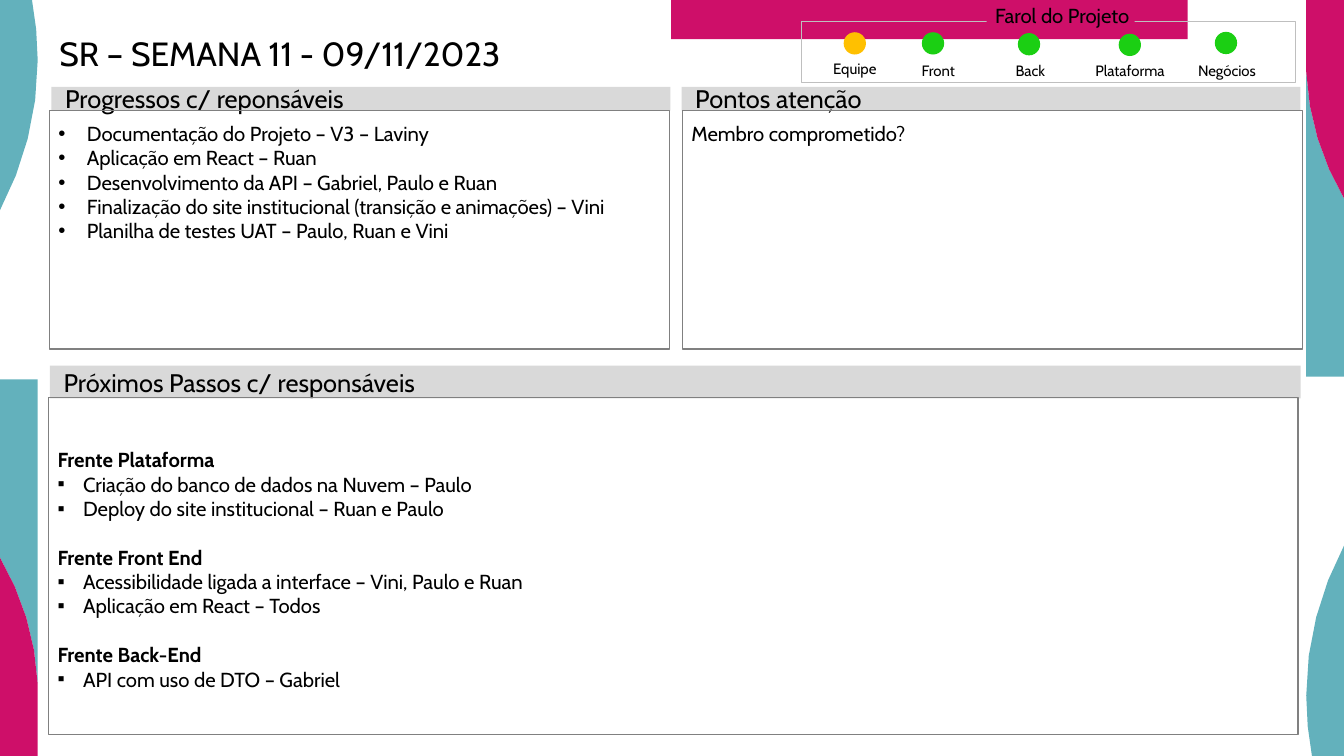
"""Builds the weekly project status slide with panels and status lights."""
from lxml import etree
from pptx import Presentation, util as u
from pptx.dml.color import RGBColor
from pptx.enum import shapes as s, text as t
from pptx.oxml.ns import qn

WIDTH, HEIGHT, EDGE = 1058.4, 595.44, 29.7
THEME = {
    "font": "Cabin", "bullet_font": "Arial",
    "ink": "000000", "teal": "63B1BC", "pink": "CE0F69", "bar": "D9D9D9",
    "border": "808080", "frame": "BFBFBF", "ok": "1BCF13", "warn": "FFC000",
    "title": 26.4, "header": 20, "body": 16, "label": 11.8,
}
TITLE = "SR – SEMANA 11 - 09/11/2023"
LIGHTS_TITLE = "Farol do Projeto"
LIGHTS = [
    ("Equipe", "warn", (664.9, 25.9), (637.92, 46.8)),
    ("Front", "ok", (726.5, 25.9), (703.6, 48.24)),
    ("Back", "ok", (802.1, 26.6), (776.16, 48.24)),
    ("Plataforma", "ok", (881.5, 27.1), (854.64, 48.24)),
    ("Negócios", "ok", (957.2, 25.6), (930.96, 48.24)),
]
PROGRESS = [("•", line) for line in (
    "Documentação do Projeto – V3 – Laviny",
    "Aplicação em React – Ruan",
    "Desenvolvimento da API – Gabriel, Paulo e Ruan",
    "Finalização do site institucional (transição e animações) – Vini",
    "Planilha de testes UAT – Paulo, Ruan e Vini",
)]
FRONTS = [
    ("Frente Plataforma", ["Criação do banco de dados na Nuvem – Paulo",
                           "Deploy do site institucional – Ruan e Paulo"]),
    ("Frente Front End", ["Acessibilidade ligada a interface – Vini, Paulo e Ruan",
                          "Aplicação em React – Todos"]),
    ("Frente Back-End", ["API com uso de DTO – Gabriel"]),
]
NEXT_STEPS = [item for heading, tasks in FRONTS
              for item in [("bold", heading)] + [("▪", task) for task in tasks]]
PANELS = [
    ("Progressos c/ reponsáveis", (40.5, 68.4, 487.44, 18.72),
     (38.9, 86.8, 488.16, 188.2), "TOP", PROGRESS),
    ("Pontos atenção", (536.7, 68.4, 487.44, 18.72),
     (537.4, 86.8, 488.16, 188.2), "TOP", [("", "Membro comprometido?")]),
    ("Próximos Passos c/ responsáveis", (39.3, 288, 984.96, 25.92),
     (38.2, 313.1, 984, 265.6), "MIDDLE", NEXT_STEPS),
]
INDENTS = {"•": 22.5, "▪": 20.16}
GROUP_GAP = 19.2
BAR_INSETS, PANEL_INSETS = (10.8, 5.04, 10.8, 5.04), (7.2, 8.64, 7.2, 3.6)
LABEL_INSETS = (4.32, 4.32, 4.32, 0)


def curve(start, first, second, end, steps):
    points = []
    for step in range(steps + 1):
        k = step / steps
        weights = ((1 - k) ** 3, 3 * k * (1 - k) ** 2, 3 * k * k * (1 - k), k ** 3)
        points.append(tuple(sum(w * p[axis] for w, p in zip(weights, (start, first, second, end)))
                            for axis in (0, 1)))
    return points


ARC = curve((0, 439.2), (17.28, 468.72), (28.08, 502.56), (EDGE, 538.56), 4)
ORNAMENTS = [
    ("teal", [(0, 0)]
     + curve((0, 165.6), (18.72, 130.32), (EDGE, 90), (EDGE, 47.52), 4)
     + curve((EDGE, 47.52), (EDGE, 30.96), (28.08, 15.12), (25.2, 0), 2)[1:]),
    ("teal", [(EDGE, 298.8), (0, 298.8)] + ARC),
    ("pink", [(EDGE, HEIGHT), (0, HEIGHT)] + ARC),
]


def color(name):
    return RGBColor.from_string(THEME[name])


def paint(shape, fill=None, line=None, weight=1):
    shape.shadow.inherit = False
    if fill:
        shape.fill.solid()
        shape.fill.fore_color.rgb = color(fill)
    else:
        shape.fill.background()
    if line:
        shape.line.color.rgb = color(line)
        shape.line.width = u.Pt(weight)
    else:
        shape.line.fill.background()


def add_box(page, kind, bounds, fill=None, line=None, weight=1):
    box = page.shapes.add_shape(kind, *map(u.Pt, bounds))
    paint(box, fill, line, weight)
    return box


def write(box, items, size, anchor="TOP", insets=(0, 0, 0, 0), align="LEFT", wrap=True):
    frame = box.text_frame
    frame.word_wrap = wrap
    frame.vertical_anchor = getattr(t.MSO_ANCHOR, anchor)
    frame.margin_left, frame.margin_top, frame.margin_right, frame.margin_bottom = map(u.Pt, insets)
    for index, (style, words) in enumerate(items):
        para = frame.paragraphs[0] if index == 0 else frame.add_paragraph()
        para.alignment = getattr(t.PP_ALIGN, align)
        if style == "bold" and index:
            para.space_before = u.Pt(GROUP_GAP)
        if style in INDENTS:
            add_bullet(para, style)
        span = para.add_run()
        span.text = words
        span.font.name = THEME["font"]
        span.font.size = u.Pt(THEME[size])
        span.font.bold = style == "bold"
        span.font.color.rgb = color("ink")
    return frame


def add_bullet(para, mark):
    props = para._p.get_or_add_pPr()
    props.set("marL", str(u.Pt(INDENTS[mark])))
    props.set("indent", str(-u.Pt(INDENTS[mark])))
    etree.SubElement(props, qn("a:buFont")).set("typeface", THEME["bullet_font"])
    etree.SubElement(props, qn("a:buChar")).set("char", mark)


def add_ornament(page, fill, points):
    start, *rest = [(u.Pt(x), u.Pt(y)) for x, y in points]
    builder = page.shapes.build_freeform(*start)
    builder.add_line_segments(rest, close=True)
    paint(builder.convert_to_shape(), fill)


def main():
    deck = Presentation()
    deck.slide_width, deck.slide_height = u.Pt(WIDTH), u.Pt(HEIGHT)
    page = deck.slides.add_slide(deck.slide_layouts[6])
    rect, oval = s.MSO_SHAPE.RECTANGLE, s.MSO_SHAPE.OVAL

    for fill, points in ORNAMENTS:
        add_ornament(page, fill, points)
        add_ornament(page, fill, [(WIDTH - x, HEIGHT - y) for x, y in points])
    add_box(page, rect, (528.48, 0, 406.8, 30.96), "pink")

    title = page.shapes.add_textbox(*map(u.Pt, (38.16, 29.52, 952.56, 63.36)))
    frame = write(title, [("", TITLE)], "title", insets=(8.64, 0, 8.64, 0))
    frame.paragraphs[0].line_spacing = 0.9

    for header, bar, area, anchor, items in PANELS:
        write(add_box(page, rect, bar, "bar"), [("", header)], "header", "MIDDLE", BAR_INSETS)
        write(add_box(page, rect, area, line="border"), items, "body", anchor, PANEL_INSETS)

    add_box(page, rect, (631.44, 16.56, 388.8, 48.5), line="frame", weight=0.5)
    plate = add_box(page, rect, (776.88, 5.04, 116.64, 16.56), "pink")
    write(plate, [("", LIGHTS_TITLE)], "body", "BOTTOM", (7, 4.32, 4.32, 0), "CENTER", False)
    for name, state, dot, place in LIGHTS:
        add_box(page, oval, (*dot, 16.56, 16.56), state, state)
        label = page.shapes.add_textbox(*map(u.Pt, (*place, 70.56, 14.4)))
        write(label, [("", name)], "label", "BOTTOM", LABEL_INSETS, "CENTER", False)

    deck.save("out.pptx")


if __name__ == "__main__":
    main()
